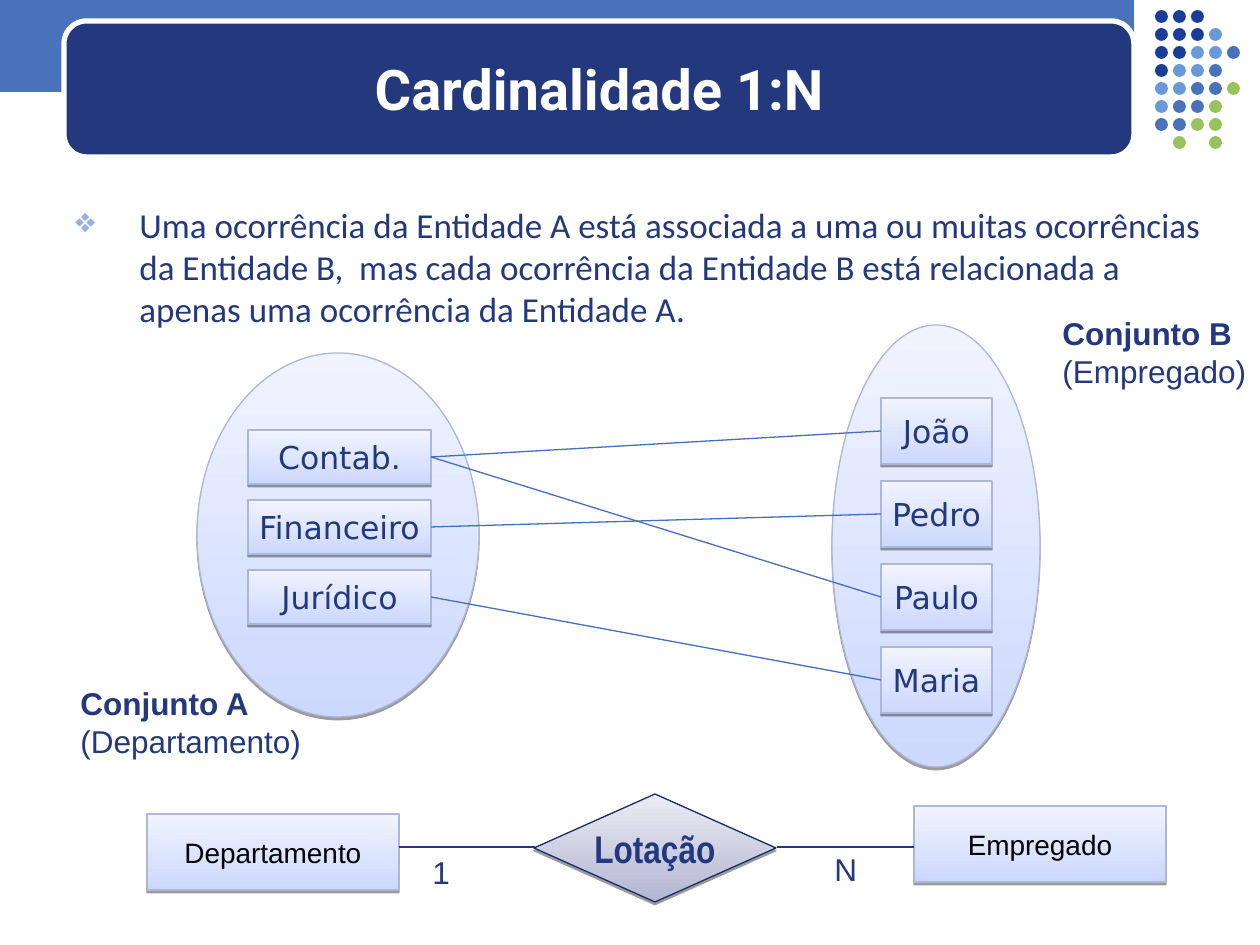
"""Build the slide on 1:N cardinality between departments and employees."""
from lxml import etree
from pptx import Presentation
from pptx.dml.color import RGBColor
from pptx.enum.shapes import MSO_CONNECTOR, MSO_SHAPE
from pptx.enum.text import MSO_ANCHOR, PP_ALIGN
from pptx.oxml.ns import qn
from pptx.util import Emu, Pt

RECT, ROUND, OVAL = MSO_SHAPE.RECTANGLE, MSO_SHAPE.ROUNDED_RECTANGLE, MSO_SHAPE.OVAL
DECISION = MSO_SHAPE.FLOWCHART_DECISION
STRAIGHT = MSO_CONNECTOR.STRAIGHT
LEFT, CENTER = PP_ALIGN.LEFT, PP_ALIGN.CENTER
TOP, MIDDLE = MSO_ANCHOR.TOP, MSO_ANCHOR.MIDDLE

NAVY = RGBColor(0x23, 0x38, 0x7D)
DEEP = RGBColor(0x1A, 0x3D, 0x97)
BLUE = RGBColor(0x49, 0x72, 0xBB)
SKY = RGBColor(0x6A, 0x99, 0xD8)
GREEN = RGBColor(0x99, 0xC2, 0x5C)
LINK = RGBColor(0x44, 0x6F, 0xBA)
EDGE = RGBColor(0xAC, 0xB7, 0xD6)
DARK = RGBColor(0x19, 0x2C, 0x69)
PALE = RGBColor(0xCC, 0xD8, 0xFE), RGBColor(0xF0, 0xF4, 0xFF)
GREY = RGBColor(0xB2, 0xB6, 0xD2), RGBColor(0xEB, 0xEC, 0xF3)
WHITE = RGBColor(0xFF, 0xFF, 0xFF)
BLACK = RGBColor(0, 0, 0)
PX = 914400 / 126


def write(sp, text, size=18, font="Arial", color=NAVY, bold=False,
          align=LEFT, anchor=TOP, wrap=False):
    tf = sp.text_frame
    tf.word_wrap = wrap
    tf.vertical_anchor = anchor
    for i, line in enumerate(text.split("\n")):
        p = tf.add_paragraph() if i else tf.paragraphs[0]
        p.alignment = align
        r = p.add_run()
        r.text = line
        r.font.size = Pt(size)
        r.font.name = font
        r.font.bold = bold and i == 0
        r.font.color.rgb = color
    return sp


def add(kind, box, fill, line=None, width=0.75):
    sp = s.shapes.add_shape(kind, *[Emu(round(v * PX)) for v in box])
    sp.shadow.inherit = False
    if line is None:
        sp.line.fill.background()
    else:
        sp.line.color.rgb = line
        sp.line.width = Pt(width)
    if isinstance(fill, RGBColor):
        sp.fill.solid()
        sp.fill.fore_color.rgb = fill
        return sp
    sp.fill.gradient()
    sp.fill.gradient_angle = 90
    for stop, color in zip(sp.fill.gradient_stops, fill):
        stop.color.rgb = color
    effects = sp._element.spPr.find(qn("a:effectLst"))
    shadow = etree.SubElement(effects, qn("a:outerShdw"), blurRad="0", dist="20320",
                              dir="5400000", rotWithShape="0")
    tint = etree.SubElement(shadow, qn("a:srgbClr"), val="000000")
    etree.SubElement(tint, qn("a:alpha"), val="38000")
    return sp


prs = Presentation()
prs.slide_width, prs.slide_height = round(1260 * PX), round(945 * PX)
s = prs.slides.add_slide(prs.slide_layouts[6])

add(RECT, (0, 0, 1134, 92), BLUE)
add(ROUND, (64, 21, 1070, 136), NAVY, WHITE, 3)
dot_colors = {"D": DEEP, "L": SKY, "M": BLUE, "G": GREEN}
dot_rows = ["DDD", "DDDL", "DDLLM", "DLLM", "LLMMG", "LMMG", "MMGG", "-G-G"]
for row, codes in enumerate(dot_rows):
    for col, code in enumerate(codes):
        if code in dot_colors:
            add(OVAL, (1155 + 18 * col, 10 + 18 * row, 13, 13), dot_colors[code])

texts = [
    ((63, 197, 1155, 674),
     "Uma ocorrência da Entidade A está associada a uma ou muitas ocorrências "
     "da Entidade B,  mas cada ocorrência da Entidade B está relacionada a "
     "apenas uma ocorrência da Entidade A.",
     dict(size=20, font="Calibri", wrap=True)),
    ((76, 29, 1047, 118), "Cardinalidade 1:N",
     dict(size=32, font="Roboto", color=WHITE, bold=True, align=CENTER,
          anchor=MIDDLE, wrap=True)),
    ((822, 844, 48, 50), "N", {}),
    ((420, 847, 43, 50), "1", {}),
    ((68, 678, 246, 88), "Conjunto A\n(Departamento)", dict(bold=True)),
    ((1050, 308, 209, 88), "Conjunto B\n(Empregado)", dict(bold=True)),
]
boxes = [write(s.shapes.add_textbox(*[Emu(round(v * PX)) for v in box]), text, **style)
         for box, text, style in texts]

p = boxes[0].text_frame.paragraphs[0]
p.space_before, p.space_after = Pt(5), Pt(6)
pPr = p._p.get_or_add_pPr()
pPr.set("marL", str(round(64 * PX)))
pPr.set("indent", str(round(-64 * PX)))
bullet_color = etree.SubElement(pPr, qn("a:buClr"))
etree.SubElement(bullet_color, qn("a:srgbClr"), val="96B1E6")
etree.SubElement(pPr, qn("a:buChar"), char="❖")

sets = [
    ((832, 325, 208, 442), (881, 398, 111, 66), 83, ["João", "Pedro", "Paulo", "Maria"]),
    ((197, 353, 282, 364), (248, 430, 183, 54), 70, ["Contab.", "Financeiro", "Jurídico"]),
]
members = {}
for oval, (x, y, w, h), step, names in sets:
    add(OVAL, oval, PALE, EDGE)
    for i, name in enumerate(names):
        sp = add(RECT, (x, y + i * step, w, h), PALE, EDGE)
        members[name] = write(sp, name, font="DejaVu Sans", align=CENTER, anchor=MIDDLE)

for name, x, y in [("Departamento", 147, 814), ("Empregado", 914, 806)]:
    write(add(RECT, (x, y, 252, 76), PALE, EDGE), name, size=16, color=BLACK,
          align=CENTER, anchor=MIDDLE)
write(add(DECISION, (534, 794, 242, 108), GREY, DARK), "Lotação", size=22,
      font="Arial Narrow", bold=True, align=CENTER, anchor=MIDDLE)

lines = []
for x1, x2 in [(399, 535), (777, 914)]:
    ends = [Emu(round(v * PX)) for v in (x1, 847, x2, 847)]
    lines.append((s.shapes.add_connector(STRAIGHT, *ends), NAVY))
for dept, person in [("Contab.", "João"), ("Financeiro", "Pedro"),
                     ("Jurídico", "Maria"), ("Contab.", "Paulo")]:
    cn = s.shapes.add_connector(STRAIGHT, 0, 0, 0, 0)
    cn.begin_connect(members[dept], 3)
    cn.end_connect(members[person], 1)
    lines.append((cn, LINK))
for cn, color in lines:
    cn.line.color.rgb = color
    cn.line.width = Pt(0.75)
    etree.SubElement(cn._element.spPr, qn("a:effectLst"))

prs.save("out.pptx")
